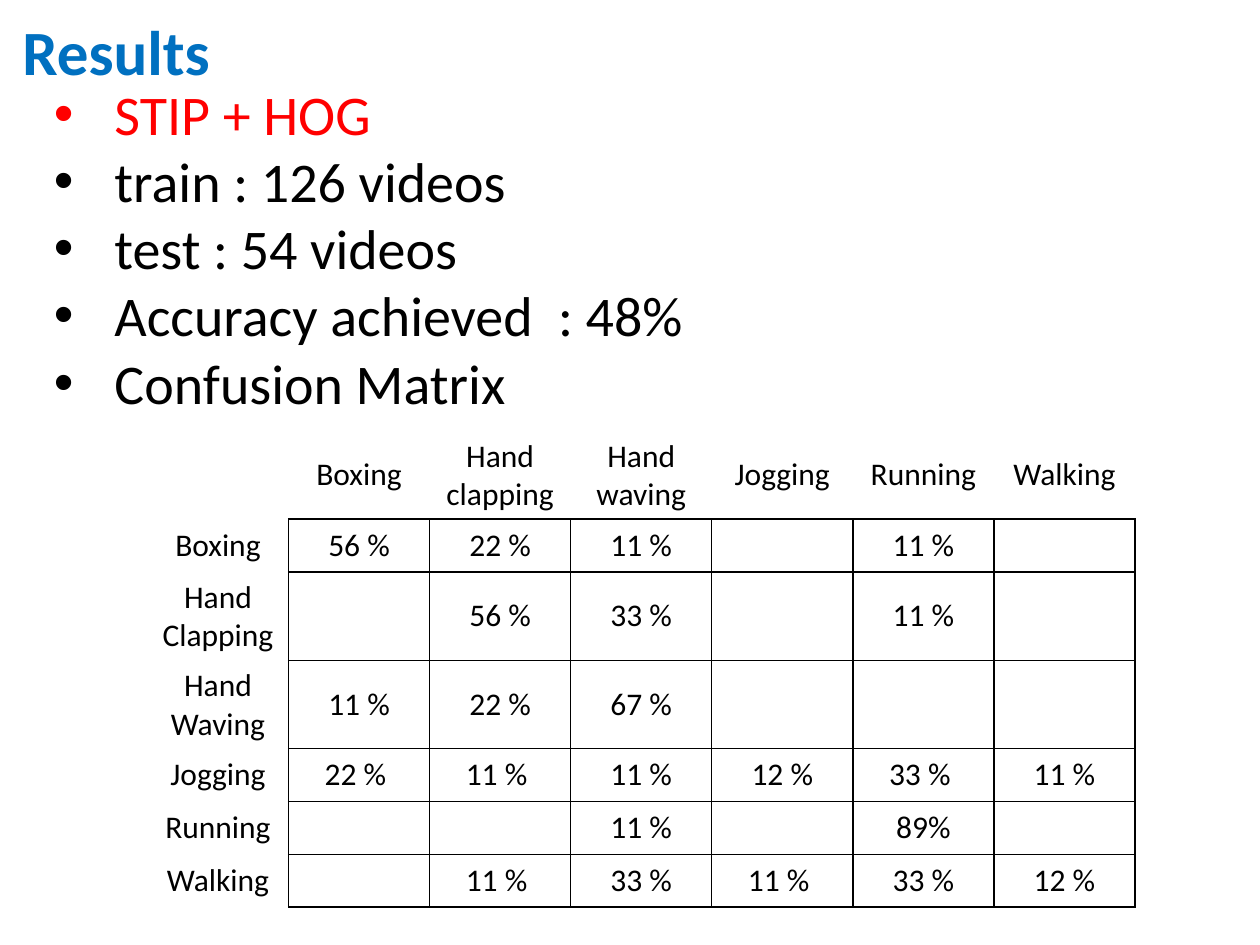
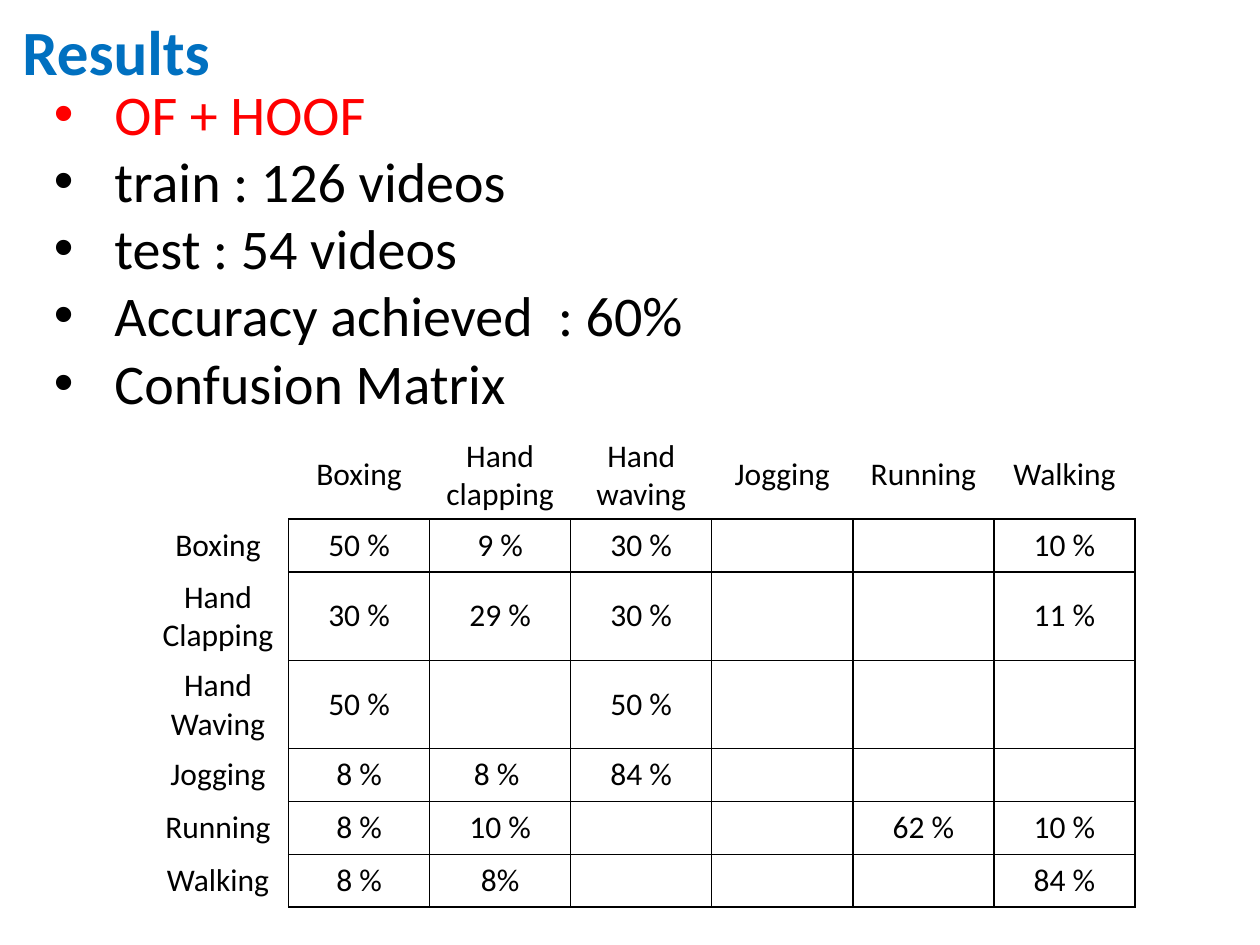
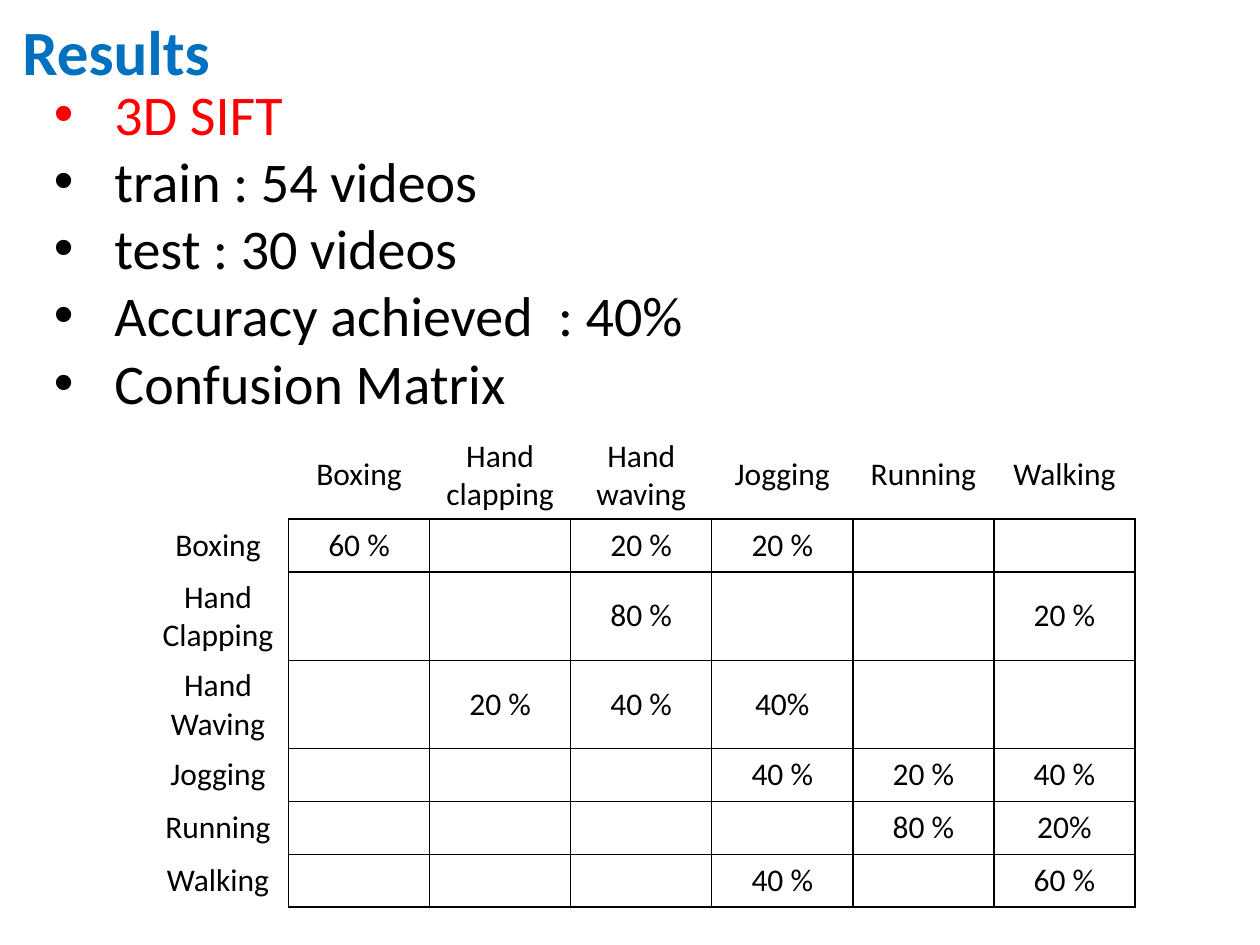
from dataclasses import dataclass
from typing import Any, NamedTuple

from lxml.etree import SubElement
from pptx import Presentation
from pptx.dml.color import RGBColor as Color
from pptx.enum.text import MSO_ANCHOR as Anchor, PP_ALIGN as Align
from pptx.oxml.ns import qn
from pptx.util import Emu, Pt

EMU_PER_PX = 9144


def px(length: int) -> Emu:
    return Emu(length * EMU_PER_PX)


class Frame(NamedTuple):
    left: int
    top: int
    width: int
    height: int

    def emu(self) -> list[Emu]:
        return [px(length) for length in self]


@dataclass(frozen=True)
class Theme:
    font: str = "Calibri"
    title_color: str = "0070C0"
    accent: str = "FF0000"
    ink: str = "000000"
    title_size: int = 36
    body_size: int = 32
    cell_size: int = 18
    body_leading: float = 38.4
    border_width: int = 1
    bullet_indent: int = 38
    plain_table: str = "{2D5ABB26-0587-4C30-8999-92F81FD0307C}"


@dataclass(frozen=True)
class Result:
    method: str
    train: int
    test: int
    accuracy: int
    matrix: list[list[str]]


THEME = Theme()
PAGE_WIDTH, PAGE_HEIGHT = 1000, 750
TITLE_FRAME = Frame(8, 5, 900, 70)
BODY_FRAME = Frame(33, 58, 933, 592)
COLUMN_WIDTH, ROW_HEIGHT = 112, 42
COLUMN_LABELS = ["Boxing", "Hand clapping", "Hand waving", "Jogging", "Running", "Walking"]
ROW_LABELS = ["Boxing", "Hand\nClapping", "Hand Waving", "Jogging", "Running", "Walking"]
GRID_SIZE = len(COLUMN_LABELS) + 1
MATRIX_FRAME = Frame(117, 342, COLUMN_WIDTH * GRID_SIZE, ROW_HEIGHT * GRID_SIZE)

RESULTS = [
    Result("STIP + HOG", 126, 54, 48, [
        ["56 %", "22 %", "11 %", "", "11 %", ""],
        ["", "56 %", "33 %", "", "11 %", ""],
        ["11 %", "22 %", "67 %", "", "", ""],
        ["22 % ", "11 % ", "11 %", "12 %", "33 % ", "11 %"],
        ["", "", "11 %", "", "89%", ""],
        ["", "11 % ", "33 %", "11 % ", "33 %", "12 %"],
    ]),
    Result("OF + HOOF", 126, 54, 60, [
        ["50 %", "9 %", "30 %", "", "", "10 %"],
        ["30 %", "29 %", "30 %", "", "", "11 %"],
        ["50 %", "", "50 %", "", "", ""],
        ["8 %", "8 % ", "84 %", "", "", ""],
        ["8 %", "10 %", "", "", "62 %", "10 %"],
        ["8 %", "8%", "", "", "", "84 %"],
    ]),
    Result("3D SIFT", 54, 30, 40, [
        ["60 %", "", "20 %", "20 %", "", ""],
        ["", "", "80 %", "", "", "20 %"],
        ["", "20 %", "40 %", "40%", "", ""],
        ["", "", "", "40 %", "20 %", "40 %"],
        ["", "", "", "", "80 %", "20%"],
        ["", "", "", "40 %", "", "60 %"],
    ]),
]


def apply(target: Any, values: dict[str, Any]) -> None:
    for name, value in values.items():
        setattr(target, name, value)


def style_font(font: Any, size: int, color: str, bold: bool = False) -> None:
    apply(font, {"name": THEME.font, "size": Pt(size), "bold": bold})
    font.color.rgb = Color.from_string(color)


def add_title(page: Any, text: str) -> None:
    box = page.shapes.add_textbox(*TITLE_FRAME.emu())
    apply(box.text_frame, {"word_wrap": True, "vertical_anchor": Anchor.MIDDLE, "text": text})
    span = box.text_frame.paragraphs[0].runs[0]
    style_font(span.font, THEME.title_size, THEME.title_color, bold=True)


def add_bullet(para: Any) -> None:
    properties = para._p.get_or_add_pPr()
    indent = px(THEME.bullet_indent)
    properties.set("marL", str(indent))
    properties.set("indent", str(-indent))
    SubElement(properties, qn("a:buFont"), typeface="Arial")
    SubElement(properties, qn("a:buChar"), char="•")


def add_summary(page: Any, result: Result) -> None:
    lines = [
        f" {result.method}",
        f" train : {result.train} videos",
        f" test : {result.test} videos",
        f" Accuracy achieved  : {result.accuracy}%",
        " Confusion Matrix",
    ]
    box = page.shapes.add_textbox(*BODY_FRAME.emu())
    apply(box.text_frame, {"word_wrap": True, "text": "\n".join(lines)})
    for index, para in enumerate(box.text_frame.paragraphs):
        para.line_spacing = Pt(THEME.body_leading)
        add_bullet(para)
        color = THEME.ink if index else THEME.accent
        style_font(para.runs[0].font, THEME.body_size, color)


def set_borders(cell: Any, sides: str) -> None:
    properties = cell._tc.get_or_add_tcPr()
    for index, side in enumerate("LRTB"):
        line = SubElement(properties, qn(f"a:ln{side}"), w=str(Pt(THEME.border_width)))
        if side in sides:
            fill = SubElement(line, qn("a:solidFill"))
            SubElement(fill, qn("a:srgbClr"), val=THEME.ink)
        else:
            SubElement(line, qn("a:noFill"))
        properties.insert(index, line)


def border_sides(row: int, column: int) -> str:
    if row and column:
        return "LRTB"
    if row:
        return "R"
    return "B" if column else ""


def add_matrix(page: Any, matrix: list[list[str]]) -> None:
    table = page.shapes.add_table(GRID_SIZE, GRID_SIZE, *MATRIX_FRAME.emu()).table
    apply(table, {"first_row": False, "horz_banding": False})
    table._tbl.tblPr.find(qn("a:tableStyleId")).text = THEME.plain_table
    rows = [["", *COLUMN_LABELS]]
    rows += [[label, *values] for label, values in zip(ROW_LABELS, matrix)]
    for row, texts in enumerate(rows):
        for column, text in enumerate(texts):
            cell = table.cell(row, column)
            apply(cell, {"text": text, "vertical_anchor": Anchor.MIDDLE})
            cell.fill.background()
            set_borders(cell, border_sides(row, column))
            for para in cell.text_frame.paragraphs:
                para.alignment = Align.CENTER
                for span in para.runs:
                    style_font(span.font, THEME.cell_size, THEME.ink)


def main() -> None:
    deck = Presentation()
    apply(deck, {"slide_width": px(PAGE_WIDTH), "slide_height": px(PAGE_HEIGHT)})
    for result in RESULTS:
        page = deck.slides.add_slide(deck.slide_layouts[6])
        add_summary(page, result)
        add_title(page, "Results")
        add_matrix(page, result.matrix)
    deck.save("out.pptx")


if __name__ == "__main__":
    main()
